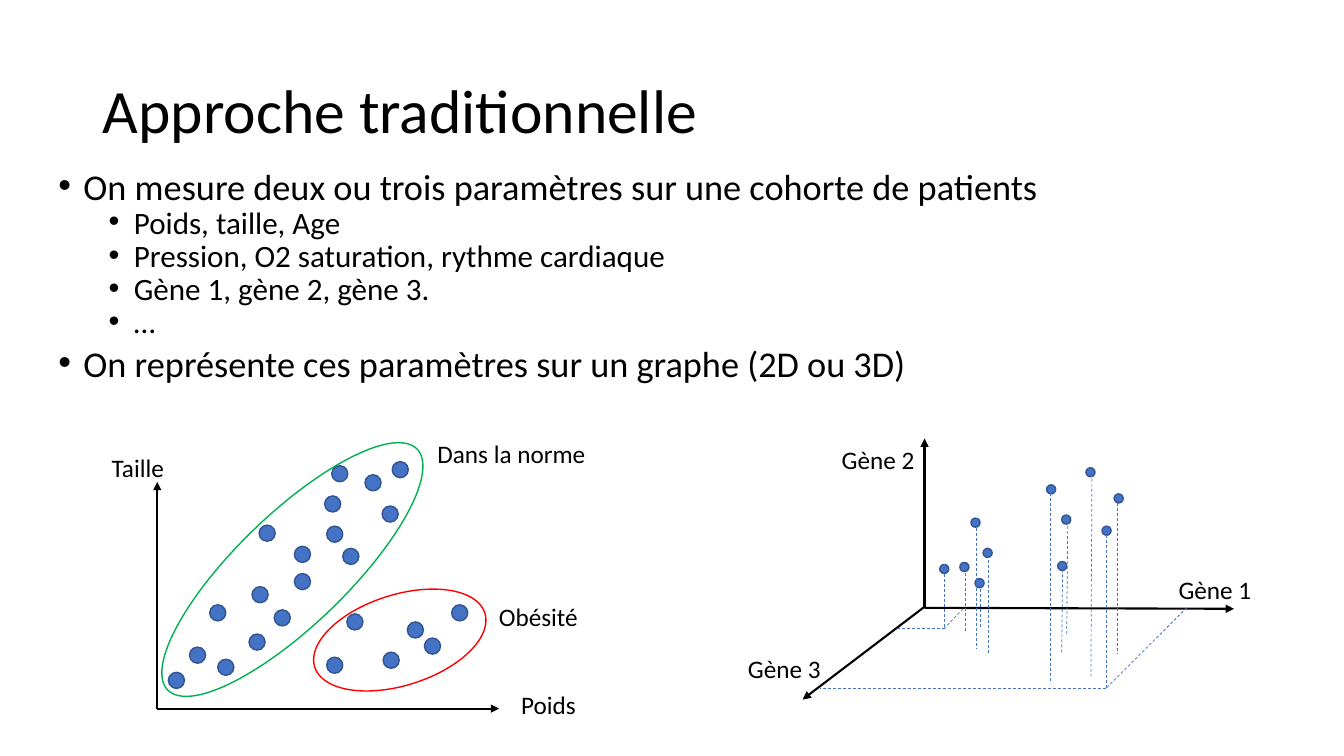
from dataclasses import dataclass

from lxml.etree import SubElement
from pptx import Presentation
from pptx.dml.color import RGBColor
from pptx.enum.dml import MSO_LINE_DASH_STYLE as Dash
from pptx.enum.shapes import MSO_CONNECTOR as Connector, MSO_SHAPE as Preset
from pptx.enum.text import MSO_ANCHOR as Anchor, MSO_AUTO_SIZE as AutoSize, PP_ALIGN as Align
from pptx.oxml.ns import qn
from pptx.util import Cm, Pt

COLORS = {
    "text": "000000",
    "dot": "4472C4",
    "dot_edge": "325491",
    "normal": "00B050",
    "obese": "FF0000",
}
FONT = "Calibri"
CM_PER_UNIT = 2.54  # the drawing grid is one inch


@dataclass(frozen=True)
class Label:
    text: str
    left: float
    top: float
    width: float


@dataclass(frozen=True)
class Segment:
    x1: float
    y1: float
    x2: float
    y2: float


@dataclass(frozen=True)
class Cluster:
    left: float
    top: float
    width: float
    height: float
    rotation: float
    color: str


@dataclass(frozen=True)
class Bullet:
    text: str
    level: int = 0


BULLETS = [
    Bullet("On mesure deux ou trois paramètres sur une cohorte de patients"),
    Bullet("Poids, taille, Age", 1),
    Bullet("Pression, O2 saturation, rythme cardiaque", 1),
    Bullet("Gène 1, gène 2, gène 3.", 1),
    Bullet("…", 1),
    Bullet("On représente ces paramètres sur un graphe (2D ou 3D)"),
]
LABELS = [
    Label("Poids", 5.07, 6.79, 1.5),
    Label("Taille", 1.01, 4.44, 1.5),
    Label("Dans la norme", 4.24, 4.3, 1.72),
    Label("Obésité", 4.85, 5.92, 1.72),
    Label("Gène 1", 11.59, 5.65, 1.02),
    Label("Gène 2", 8.25, 4.36, 1.21),
    Label("Gène 3", 7.32, 6.43, 1.29),
]
AXES = [
    Segment(1.56, 7.03, 4.95, 7.03),
    Segment(1.56, 7.03, 1.56, 4.78),
    Segment(9.17, 6.03, 12.24, 6.04),
    Segment(9.17, 6.02, 9.17, 4.35),
    Segment(9.17, 6.02, 7.96, 6.94),
]
CLUSTERS = [
    Cluster(1.18, 5.1, 3.44, 1.1, 316, "normal"),
    Cluster(3.08, 5.9, 1.77, 0.9, 342.4, "obese"),
]
# Left and top of each patient dot
PATIENTS_2D = [
    (2.92, 5.69), (3.62, 4.71), (2.92, 5.42), (4.04, 6.17), (1.67, 6.67), (3.79, 5.02),
    (3.4, 5.44), (2.08, 6), (3.8, 6.47), (2.47, 6.29), (3.24, 5.22), (2.5, 5.82),
    (3.44, 6.09), (2.16, 6.54), (3.24, 6.52), (2.57, 5.21), (1.88, 6.42), (3.89, 4.58),
    (3.22, 4.92), (2.72, 6.05), (3.29, 4.62), (4.48, 6), (4.21, 6.33),
]
PATIENTS_3D = [
    (10.93, 5.22), (9.63, 5.14), (11.05, 4.9), (10.53, 5.11), (9.32, 5.6), (10.77, 4.64),
    (9.52, 5.58), (10.38, 4.81), (9.75, 5.44), (9.67, 5.74), (10.49, 5.57),
]
PROJECTIONS = [
    # Drops from the dots
    Segment(10.97, 5.26, 10.97, 6.83),
    Segment(10.59, 5.17, 10.58, 6.31),
    Segment(9.72, 5.84, 9.72, 6.22),
    Segment(9.37, 5.6, 9.37, 6.22),
    Segment(10.83, 4.7, 10.82, 6.71),
    Segment(9.8, 5.46, 9.8, 6.48),
    Segment(9.68, 5.14, 9.68, 6.43),
    Segment(11.08, 4.89, 11.08, 6.48),
    Segment(10.42, 4.89, 10.42, 6.77),
    Segment(10.54, 5.6, 10.53, 6.48),
    Segment(9.57, 5.64, 9.57, 6.28),
    # Links to the axes
    Segment(9.37, 6.23, 8.9, 6.23),
    Segment(10.97, 6.83, 8.13, 6.83),
    Segment(9.55, 6.04, 9.37, 6.23),
    Segment(11.77, 6.03, 10.97, 6.83),
]


def units(*values: float) -> list[Cm]:
    return [Cm(value * CM_PER_UNIT) for value in values]


def rgb(name: str) -> RGBColor:
    return RGBColor.from_string(COLORS[name])


def write(para, text: str, *, size: float, spacing: float = 1.0, before: float = 0) -> None:
    para.alignment = Align.LEFT
    para.line_spacing = spacing
    para.space_before = Pt(before)
    span = para.add_run()
    span.text = text
    span.font.name = FONT
    span.font.size = Pt(size)
    span.font.color.rgb = rgb("text")


def add_bullet(para, margin: float, hanging: float) -> None:
    props = para._p.get_or_add_pPr()
    left, indent = units(margin, -hanging)
    props.set("marL", str(int(left)))
    props.set("indent", str(int(indent)))
    SubElement(props, qn("a:buFont"), typeface="Arial")
    SubElement(props, qn("a:buChar"), char="•")


def add_label(shapes, label: Label) -> None:
    box = shapes.add_textbox(*units(label.left, label.top, label.width, 0.4))
    box.text_frame.word_wrap = True
    box.text_frame.auto_size = AutoSize.SHAPE_TO_FIT_TEXT
    write(box.text_frame.paragraphs[0], label.text, size=18)


def add_ellipse(shapes, left: float, top: float, width: float, height: float,
                *, edge: str, fill: str = "", rotation: float = 0) -> None:
    oval = shapes.add_shape(Preset.OVAL, *units(left, top, width, height))
    oval.shadow.inherit = False
    oval.rotation = rotation
    if fill:
        oval.fill.solid()
        oval.fill.fore_color.rgb = rgb(fill)
    else:
        oval.fill.background()
    oval.line.color.rgb = rgb(edge)
    oval.line.width = Pt(1)


def add_segment(shapes, segment: Segment, *, color: str, width: float, arrow: bool = False) -> None:
    ends = units(segment.x1, segment.y1, segment.x2, segment.y2)
    line = shapes.add_connector(Connector.STRAIGHT, *ends)
    line.line.color.rgb = rgb(color)
    line.line.width = Pt(width)
    if arrow:
        SubElement(line.line._get_or_add_ln(), qn("a:tailEnd"), type="triangle")
    else:
        line.line.dash_style = Dash.DASH
    SubElement(line._element.spPr, qn("a:effectLst"))


def main() -> None:
    deck = Presentation()
    deck.slide_width, deck.slide_height = units(13.33, 7.5)
    page = deck.slides.add_slide(deck.slide_layouts[5])
    shapes = page.shapes

    # Title
    title = shapes.title
    title.left, title.top, title.width, title.height = units(0.92, 0.4, 11.5, 1.45)
    title.text_frame.vertical_anchor = Anchor.MIDDLE
    write(title.text_frame.paragraphs[0], "Approche traditionnelle", size=44, spacing=0.9)

    # Bulleted text
    frame = shapes.add_textbox(*units(0.48, 1.7, 11.5, 2.31)).text_frame
    frame.word_wrap = True
    for index, bullet in enumerate(BULLETS):
        para = frame.add_paragraph() if index else frame.paragraphs[0]
        para.level = bullet.level
        before = (5 if bullet.level else 10) if index else 0
        write(para, bullet.text, size=22.2 if bullet.level else 25.9, spacing=0.7, before=before)
        add_bullet(para, 0.25 + 0.5 * bullet.level, 0.25)

    # Both graphs: axes, dots, clusters, projections and labels
    for axis in AXES:
        add_segment(shapes, axis, color="text", width=1.5, arrow=True)
    for patients, size in ((PATIENTS_2D, 0.16), (PATIENTS_3D, 0.09)):
        for left, top in patients:
            add_ellipse(shapes, left, top, size, size, edge="dot_edge", fill="dot")
    for group in CLUSTERS:
        add_ellipse(shapes, group.left, group.top, group.width, group.height,
                    edge=group.color, rotation=group.rotation)
    for projection in PROJECTIONS:
        add_segment(shapes, projection, color="dot", width=0.5)
    for label in LABELS:
        add_label(shapes, label)

    deck.save("out.pptx")


if __name__ == "__main__":
    main()
